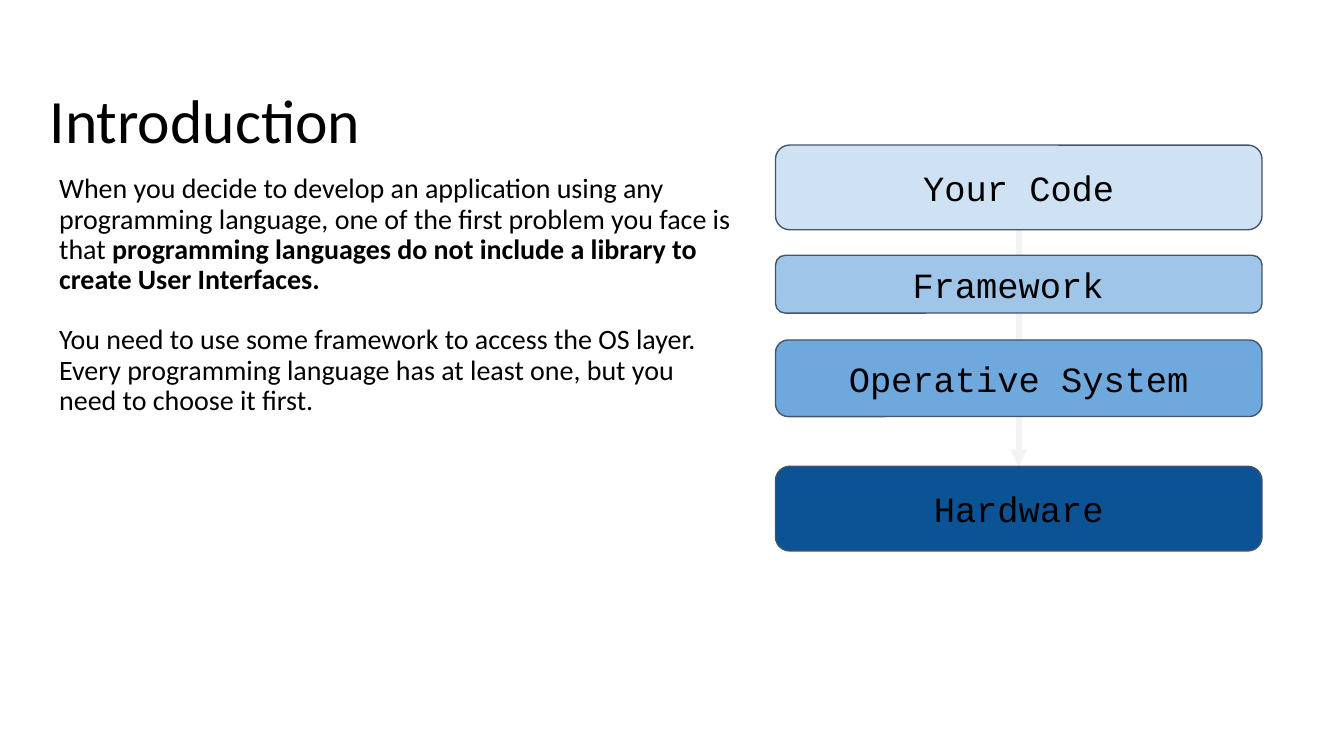
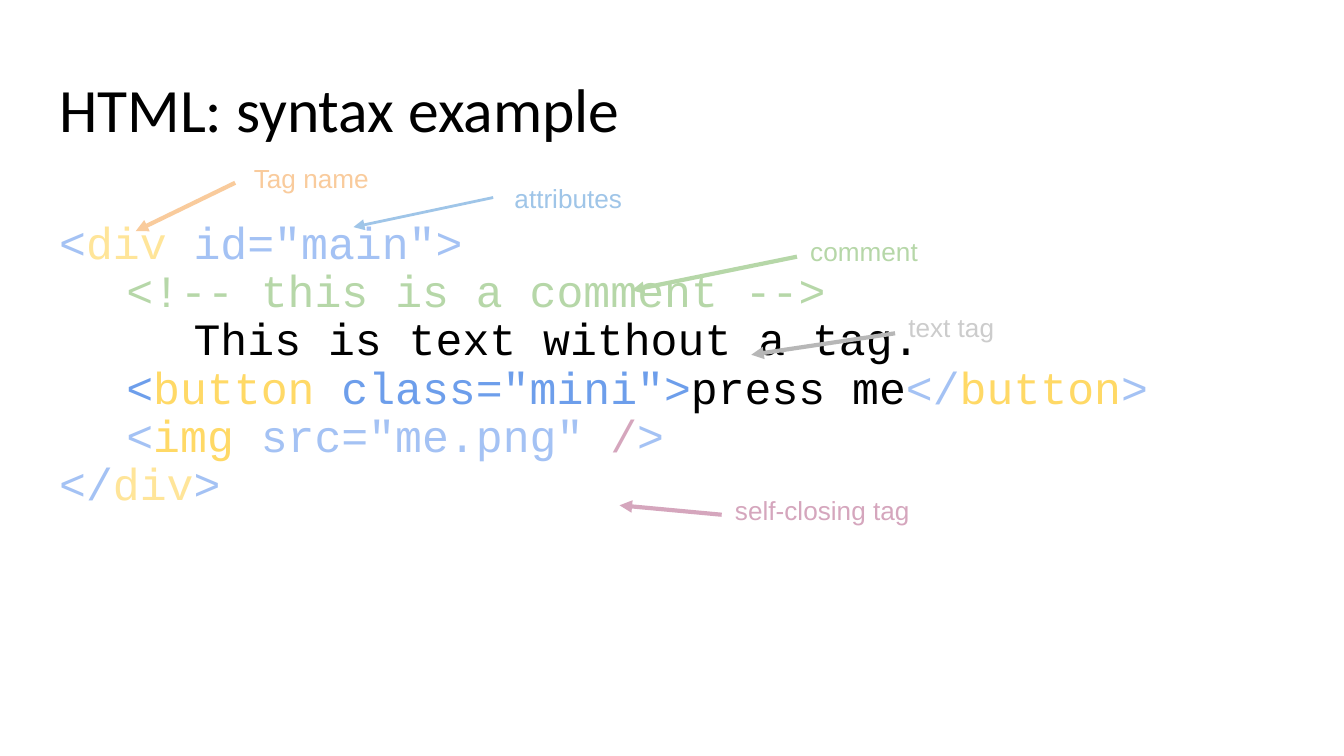
"""Build two slides on frameworks and HTML syntax."""
from dataclasses import dataclass

from lxml import etree
from pptx import Presentation
from pptx.dml.color import RGBColor
from pptx.enum.shapes import MSO_CONNECTOR, MSO_SHAPE
from pptx.enum.text import MSO_ANCHOR, MSO_AUTO_SIZE, PP_ALIGN
from pptx.oxml.ns import qn
from pptx.util import Emu, Pt

PX = 9144
SLIDE_WIDTH = 1000
INSET = 10
TAB = 100
LEFT, CENTER = PP_ALIGN.LEFT, PP_ALIGN.CENTER
TOP, MIDDLE = MSO_ANCHOR.TOP, MSO_ANCHOR.MIDDLE
NO_FIT = MSO_AUTO_SIZE.NONE
ROUNDED = MSO_SHAPE.ROUNDED_RECTANGLE
STRAIGHT = MSO_CONNECTOR.STRAIGHT

COLORS = {
    "black": "000000", "outline": "44546A", "flow": "F3F3F3",
    "code": "CFE2F3", "framework": "9FC5E8", "system": "6FA8DC", "hardware": "0B5394",
    "punct": "A4C2F4", "punct_dark": "6D9EEB", "tag": "FFE599", "tag_dark": "FFD966",
    "name": "F9CB9C", "attribute": "9FC5E8", "comment": "B6D7A8",
    "text": "CCCCCC", "text_arrow": "B7B7B7", "closing": "D5A6BD",
}
FONTS = {
    "title": {"name": "Calibri", "size": Pt(33)},
    "body": {"name": "Calibri", "size": Pt(15)},
    "layer": {"name": "Courier New", "size": Pt(19)},
    "code": {"name": "Courier New", "size": Pt(24)},
    "label": {"name": "Arial", "size": Pt(14)},
}


@dataclass(frozen=True)
class Run:
    """A stretch of text in one colour and weight."""
    text: str
    color: str = "black"
    bold: bool = False


@dataclass(frozen=True)
class Box:
    """A rectangle in px."""
    left: int
    top: int
    width: int
    height: int

    def emu(self) -> list[Emu]:
        """Return left, top, width and height in EMU."""
        return [px(n) for n in (self.left, self.top, self.width, self.height)]


@dataclass(frozen=True)
class Layer:
    """One block of the software stack."""
    text: str
    top: int
    height: int
    color: str


@dataclass(frozen=True)
class Callout:
    """A label with an arrow to a piece of code."""
    text: str
    box: Box
    color: str
    start: tuple[int, int]
    end: tuple[int, int]
    arrow_color: str
    weight: float = 2.25


STACK_LEFT, STACK_WIDTH = 577, 362
LAYERS = [
    Layer("Your Code", 108, 63, "code"),
    Layer("Framework ", 190, 43, "framework"),
    Layer("Operative System", 253, 57, "system"),
    Layer("Hardware", 347, 63, "hardware"),
]
INTRO = [
    [Run("When you decide to develop an application using any programming language, "
         "one of the first problem you face is that "),
     Run("programming languages do not include a library to create User Interfaces.",
         bold=True)],
    [Run("You need to use some framework to access the OS layer. Every programming "
         "language has at least one, but you need to choose it first.")],
]
CODE = [
    [Run("<", "punct"), Run("div", "tag"), Run(' id="main">', "punct")],
    [Run("\t"), Run("<!-- this is a comment -->", "comment")],
    [Run("     This is text without a tag.")],
    [Run("\t"), Run("<", "punct_dark"), Run("button", "tag_dark"),
     Run(' class="mini">', "punct_dark"), Run("press me"), Run("</", "punct"),
     Run("button", "tag_dark"), Run(">", "punct")],
    [Run("\t<", "punct"), Run("img", "tag_dark"), Run(' src="me.png" ', "punct"),
     Run("/", "closing"), Run(">", "punct")],
    [Run("</", "punct"), Run("div", "tag"), Run(">", "punct")],
]
CALLOUTS = [
    Callout("Tag name", Box(179, 111, 112, 36), "name", (175, 136), (101, 172), "name"),
    Callout("attributes", Box(373, 126, 107, 41), "attribute",
            (367, 147), (263, 169), "attribute", 1.5),
    Callout("comment", Box(593, 165, 278, 51), "comment",
            (593, 191), (470, 216), "comment"),
    Callout("text tag", Box(666, 222, 375, 51), "text",
            (666, 248), (559, 264), "text_arrow"),
    Callout("self-closing tag", Box(537, 358, 375, 51), "closing",
            (537, 383), (461, 376), "closing"),
]


def px(n: int) -> Emu:
    """Turn px into EMU."""
    return Emu(n * PX)


def rgb(name: str) -> RGBColor:
    """Look up a named colour."""
    return RGBColor.from_string(COLORS[name])


def apply(target, values: dict) -> None:
    """Set each attribute from a dict of values."""
    for key, value in values.items():
        setattr(target, key, value)


def write(sp, paragraphs: list[list[Run]], font: str, align=LEFT, anchor=TOP,
          spacing: float = 1.0, gap: int = 0, inset_top: int = INSET) -> None:
    """Fill a shape with formatted paragraphs."""
    tf = sp.text_frame
    apply(tf, {"auto_size": NO_FIT, "word_wrap": True, "vertical_anchor": anchor,
               "margin_left": px(INSET), "margin_right": px(INSET),
               "margin_top": px(inset_top), "margin_bottom": px(INSET)})
    for i, runs in enumerate(paragraphs):
        p = tf.add_paragraph() if i else tf.paragraphs[0]
        pPr = p._p.get_or_add_pPr()
        pPr.set("marL", "0")
        pPr.set("indent", "0")
        etree.SubElement(pPr, qn("a:buNone"))
        if any("\t" in run.text for run in runs):
            tabs = etree.SubElement(pPr, qn("a:tabLst"))
            etree.SubElement(tabs, qn("a:tab"), pos=str(px(TAB)), algn="l")
        apply(p, {"alignment": align, "line_spacing": spacing,
                  "space_before": Pt(gap if i else 0), "space_after": Pt(0)})
        for run in runs:
            r = p.add_run()
            r.text = run.text
            apply(r.font, {**FONTS[font], "bold": run.bold})
            r.font.color.rgb = rgb(run.color)


def add_slide(prs, title: str, title_box: Box, body_box: Box):
    """Add a slide with its title and return it with its placed body."""
    s = prs.slides.add_slide(prs.slide_layouts[1])
    body = s.placeholders[1]
    for sp, box in ((s.shapes.title, title_box), (body, body_box)):
        apply(sp, dict(zip(("left", "top", "width", "height"), box.emu())))
    write(s.shapes.title, [[Run(title)]], "title", spacing=0.9)
    return s, body


def add_arrow(s, start: tuple[int, int], end: tuple[int, int],
              color: str, weight: float) -> None:
    """Draw a straight line with a triangle at its end."""
    line = s.shapes.add_connector(STRAIGHT, *map(px, start + end))
    line.line.color.rgb = rgb(color)
    line.line.width = Pt(weight)
    etree.SubElement(line.line._get_or_add_ln(), qn("a:tailEnd"), type="triangle")
    etree.SubElement(line._element.spPr, qn("a:effectLst"))


def add_layer(s, layer: Layer) -> None:
    """Draw one block of the stack."""
    box = Box(STACK_LEFT, layer.top, STACK_WIDTH, layer.height)
    sp = s.shapes.add_shape(ROUNDED, *box.emu())
    sp.shadow.inherit = False
    sp.fill.solid()
    sp.fill.fore_color.rgb = rgb(layer.color)
    sp.line.color.rgb = rgb("outline")
    sp.line.width = Pt(0.75)
    write(sp, [[Run(layer.text)]], "layer", CENTER, MIDDLE)


def add_callout(s, callout: Callout) -> None:
    """Draw an arrow and its label."""
    add_arrow(s, callout.start, callout.end, callout.arrow_color, callout.weight)
    sp = s.shapes.add_textbox(*callout.box.emu())
    write(sp, [[Run(callout.text, callout.color)]], "label")


def build_introduction(prs) -> None:
    """Build the slide with the software stack."""
    s, body = add_slide(prs, "Introduction", Box(27, 57, 466, 63), Box(34, 120, 521, 442))
    write(body, INTRO, "body", spacing=0.9, gap=16)
    middle = STACK_LEFT + STACK_WIDTH // 2
    first, last = LAYERS[0], LAYERS[-1]
    add_arrow(s, (middle, first.top + first.height), (middle, last.top), "flow", 3)
    for layer in LAYERS:
        add_layer(s, layer)


def build_syntax(prs) -> None:
    """Build the slide with the annotated HTML code."""
    s, body = add_slide(prs, "HTML: syntax example",
                        Box(34, 49, 932, 63), Box(34, 126, 932, 374))
    write(body, CODE, "code", spacing=0.9, inset_top=38)
    for callout in CALLOUTS:
        add_callout(s, callout)


def main() -> None:
    """Build and save the presentation."""
    prs = Presentation()
    apply(prs, {"slide_width": px(SLIDE_WIDTH),
                "slide_height": px(SLIDE_WIDTH) * 9 // 16})
    build_introduction(prs)
    build_syntax(prs)
    prs.save("out.pptx")


if __name__ == "__main__":
    main()
